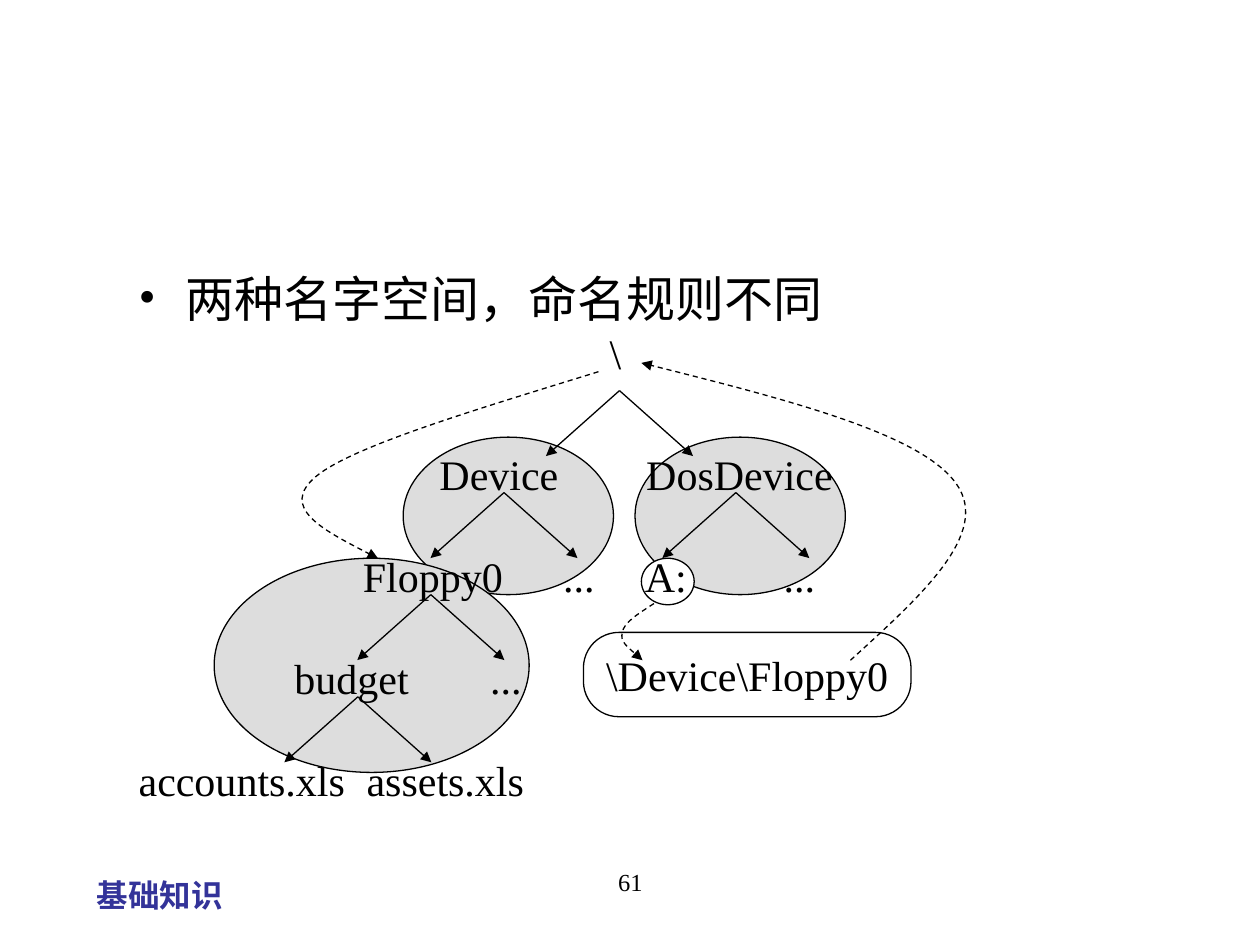
from typing import NamedTuple

import pptx
import pptx.dml.color
import pptx.enum.dml
import pptx.enum.shapes
import pptx.enum.text
import pptx.oxml.ns
import pptx.util
from lxml import etree

Pt = pptx.util.Pt
PP_ALIGN = pptx.enum.text.PP_ALIGN
ANCHOR = pptx.enum.text.MSO_ANCHOR
AUTO_SIZE = pptx.enum.text.MSO_AUTO_SIZE
SHAPE = pptx.enum.shapes.MSO_SHAPE
qn = pptx.oxml.ns.qn

COLORS = {"ink": "000000", "set": "DDDDDD", "paper": "FFFFFF", "footer": "333399"}
LATIN, CJK = "Times New Roman", "Noto Sans CJK SC"
ROW_TOPS = [183.6, 252.7, 311, 369.4, 427.7]
LABEL_HEIGHT = 36
FORK_DX, FORK_DY = 42, 37.4


class Oval(NamedTuple):
    left: float
    top: float
    width: float
    height: float
    fill: str


class Label(NamedTuple):
    text: str
    center: float
    row: int
    width: float


class Point(NamedTuple):
    x: float
    y: float


OVALS = [
    Oval(230.4, 249.8, 120.2, 90, "set"),
    Oval(122.4, 319, 180, 122.4, "set"),
    Oval(362.9, 249.8, 120.2, 90, "set"),
    Oval(366.5, 319, 30.2, 26.6, "paper"),
]
LABELS = [
    Label("\\", 351.7, 0, 22),
    Label("Device", 285.1, 1, 84),
    Label("DosDevice", 422.6, 1, 122),
    Label("Floppy0", 247.3, 2, 96),
    Label("...", 330.8, 2, 34),
    Label("A:", 380.5, 2, 40),
    Label("...", 456.8, 2, 34),
    Label("budget", 200.9, 3, 82),
    Label("...", 289.1, 3, 34),
    Label("accounts.xls", 138.2, 4, 134),
    Label("assets.xls", 254.5, 4, 106),
]
FORKS = [Point(354, 223.2), Point(288, 281.5), Point(420.5, 281.5),
         Point(246.2, 339.8), Point(204.5, 398.2)]
# Each curve is a start point followed by two cubic segments.
CURVES = [
    [Point(373.7, 344.9), Point(365, 350.6), Point(356.4, 355.7), Point(355.7, 361.4),
     Point(354.2, 366.5), Point(360.7, 371.5), Point(367.2, 377.3)],
    [Point(486, 377.3), Point(526.3, 340.6), Point(566.6, 304.6), Point(546.5, 276.5),
     Point(526.3, 247.7), Point(446.4, 227.5), Point(366.5, 207.4)],
    [Point(342, 212.4), Point(272.2, 234), Point(201.6, 254.9), Point(180.7, 272.2),
     Point(159.1, 290.2), Point(187.9, 304.6), Point(216, 319)],
]


def rgb(name: str) -> pptx.dml.color.RGBColor:
    return pptx.dml.color.RGBColor.from_string(COLORS[name])


def format_text(tf, size: float, font: str = LATIN, color: str = "ink",
                bold: bool = False) -> None:
    for p in tf.paragraphs:
        for r in p.runs:
            r.font.name, r.font.size, r.font.bold = font, Pt(size), bold
            r.font.color.rgb = rgb(color)
            ea = etree.SubElement(r.font._element, qn("a:ea"))
            ea.set("typeface", CJK)


def set_line(tf, text: str, size: float, align=PP_ALIGN.CENTER, anchor=ANCHOR.MIDDLE,
             **style) -> None:
    """Put one unwrapped line of text in a frame."""
    tf.text = text
    tf.word_wrap = False
    tf.vertical_anchor = anchor
    tf.paragraphs[0].alignment = align
    format_text(tf, size, **style)


def add_box(s, left: float, top: float, width: float, height: float):
    return s.shapes.add_textbox(Pt(left), Pt(top), Pt(width), Pt(height)).text_frame


def add_label(s, label: Label) -> None:
    tf = add_box(s, label.center - label.width / 2, ROW_TOPS[label.row],
                 label.width, LABEL_HEIGHT)
    set_line(tf, label.text, 24)
    tf.auto_size = AUTO_SIZE.SHAPE_TO_FIT_TEXT


def outline(line) -> None:
    line.color.rgb = rgb("ink")
    line.width = Pt(0.75)


def add_arrowhead(line) -> None:
    etree.SubElement(line._get_or_add_ln(), qn("a:tailEnd")).set("type", "triangle")


def add_filled(s, kind, left: float, top: float, width: float, height: float, fill: str):
    sp = s.shapes.add_shape(kind, Pt(left), Pt(top), Pt(width), Pt(height))
    sp.shadow.inherit = False
    sp.fill.solid()
    sp.fill.fore_color.rgb = rgb(fill)
    outline(sp.line)
    return sp


def add_fork(s, apex: Point) -> None:
    """Draw two arrows going down from a parent name to its children."""
    for dx in (-FORK_DX, FORK_DX):
        arrow = s.shapes.add_connector(
            pptx.enum.shapes.MSO_CONNECTOR.STRAIGHT,
            Pt(apex.x), Pt(apex.y), Pt(apex.x + dx), Pt(apex.y + FORK_DY))
        outline(arrow.line)
        add_arrowhead(arrow.line)
        etree.SubElement(arrow._element.spPr, qn("a:effectLst"))


def add_curve(s, points: list[Point]) -> None:
    """Build a polyline, then turn each three line steps into one cubic segment."""
    start, *rest = [(Pt(p.x), Pt(p.y)) for p in points]
    builder = s.shapes.build_freeform(*start)
    builder.add_line_segments(rest, close=False)
    sp = builder.convert_to_shape()
    steps = list(sp._element.iter(qn("a:lnTo")))
    for i in range(0, len(steps), 3):
        cubic = etree.SubElement(steps[i].getparent(), qn("a:cubicBezTo"))
        for step in steps[i:i + 3]:
            cubic.append(step[0])
            step.getparent().remove(step)
    sp.shadow.inherit = False
    sp.fill.background()
    outline(sp.line)
    sp.line.dash_style = pptx.enum.dml.MSO_LINE.DASH
    add_arrowhead(sp.line)


def fill_body(s) -> None:
    body = s.placeholders[1]
    body.left, body.top, body.width, body.height = Pt(72), Pt(156.2), Pt(594), Pt(324)
    tf = body.text_frame
    tf.text = "两种名字空间，命名规则不同"
    tf.auto_size = AUTO_SIZE.NONE
    p = tf.paragraphs[0]
    p.line_spacing, p.space_before = 0.8, Pt(0)
    pPr = p._p.get_or_add_pPr()
    pPr.set("marL", str(Pt(27)))
    pPr.set("indent", str(Pt(-27)))
    etree.SubElement(pPr, qn("a:buFont")).set("typeface", LATIN)
    etree.SubElement(pPr, qn("a:buChar")).set("char", "•")
    format_text(tf, 28, CJK)


def main() -> None:
    prs = pptx.Presentation()
    prs.slide_width, prs.slide_height = Pt(720), Pt(540)
    s = prs.slides.add_slide(prs.slide_layouts[1])
    title = s.shapes.title._element
    title.getparent().remove(title)

    set_line(add_box(s, 48.2, 496.8, 88, 28.8), "基础知识", 18, PP_ALIGN.LEFT,
             ANCHOR.TOP, color="footer", bold=True)
    set_line(add_box(s, 246.2, 491.8, 228.2, 36), "61", 14, anchor=ANCHOR.TOP)
    fill_body(s)

    for oval in OVALS:
        add_filled(s, SHAPE.OVAL, *oval)
    for label in LABELS:
        add_label(s, label)
    for apex in FORKS:
        add_fork(s, apex)

    target = add_filled(s, SHAPE.ROUNDED_RECTANGLE, 333.4, 361.4, 187.2, 48.2, "paper")
    target.adjustments[0] = 0.42
    set_line(target.text_frame, "\\Device\\Floppy0", 24)

    for points in CURVES:
        add_curve(s, points)
    prs.save("out.pptx")


if __name__ == "__main__":
    main()
